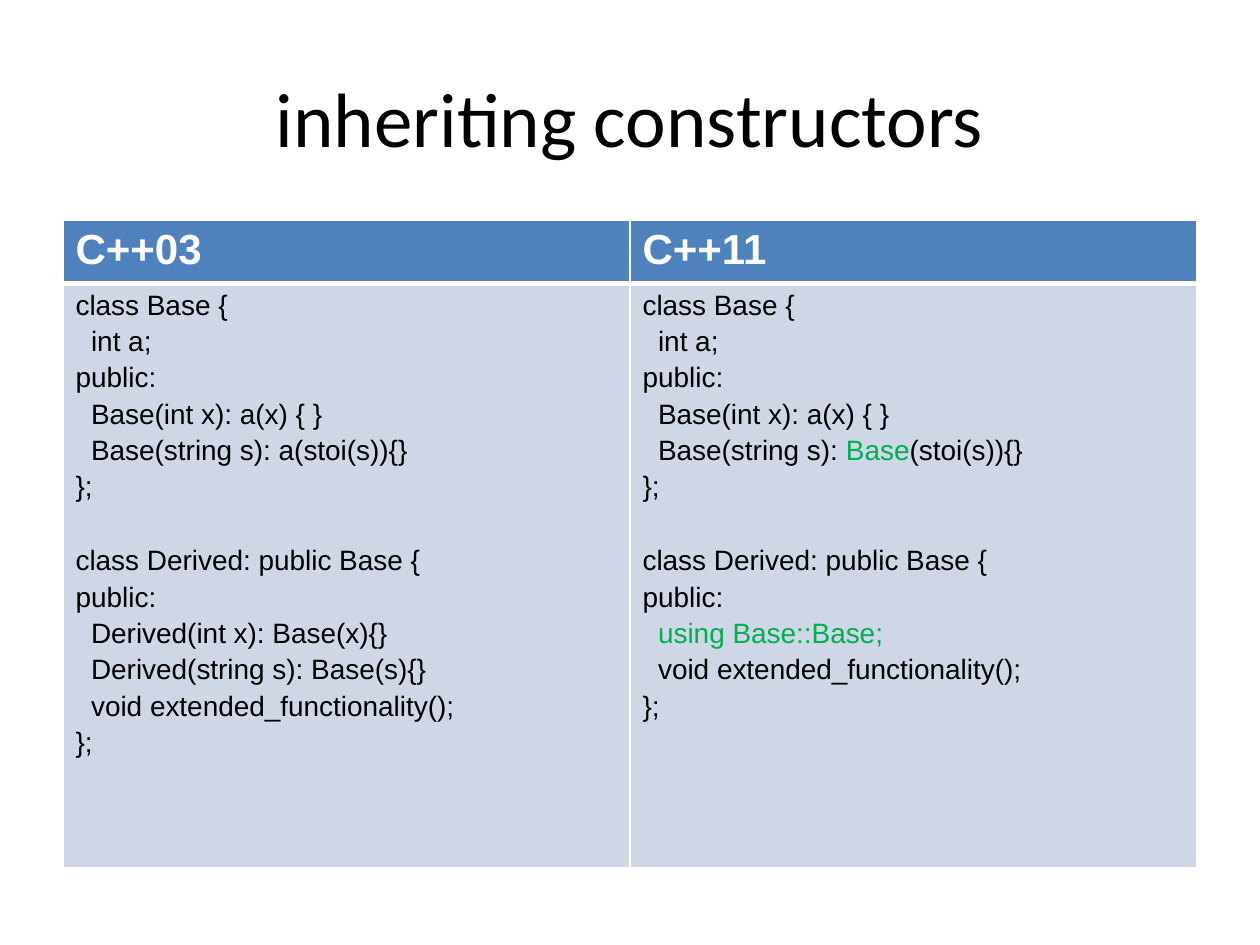
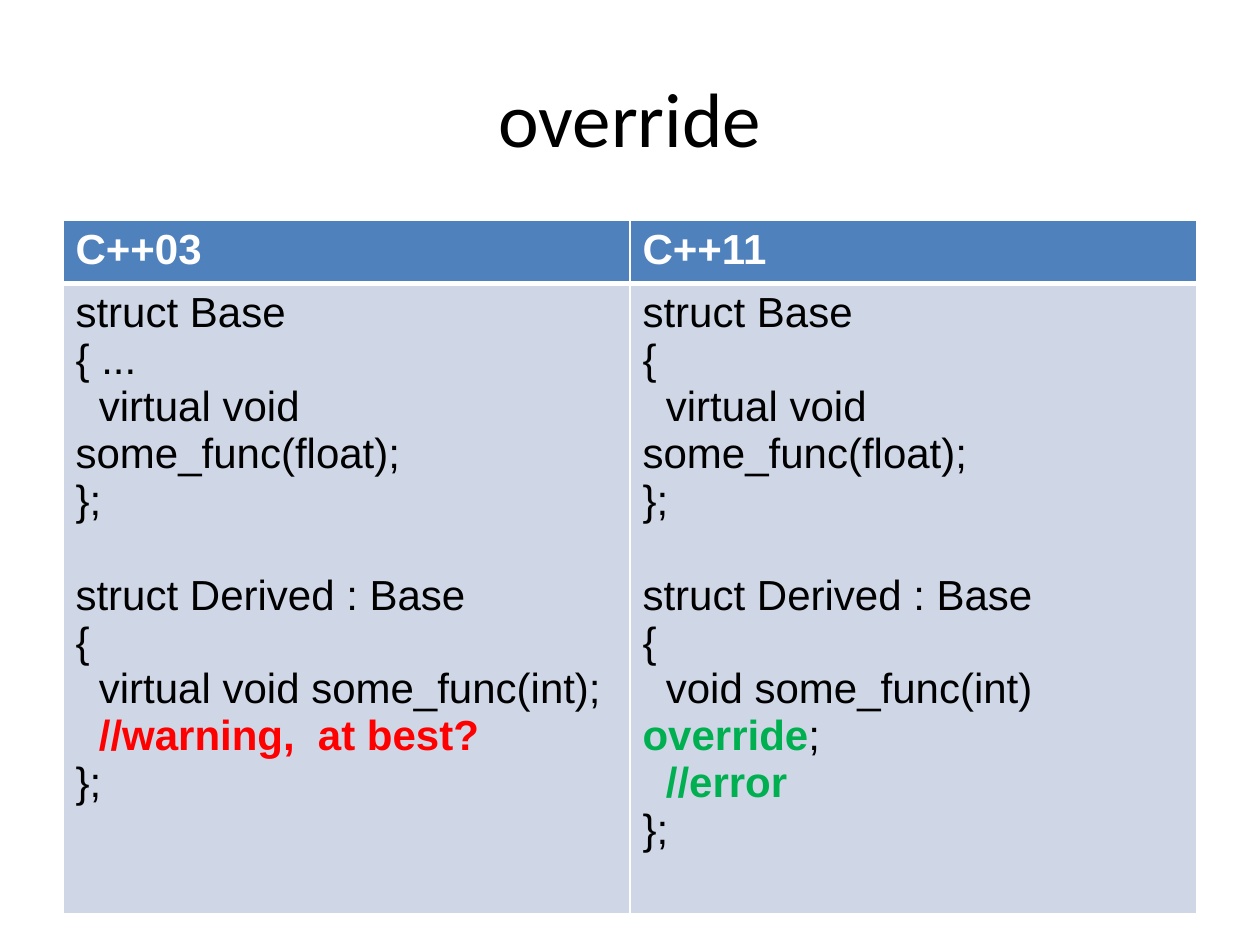
"""Build two slides that compare C++03 code with C++11 code."""
import dataclasses

import lxml.etree
import pptx
import pptx.dml.color
import pptx.enum.text
import pptx.oxml.ns
import pptx.util

PX = 9144
SLIDE = (1000, 750)
TITLE_BOX = (50, 30, 900, 125)
TABLE_LEFT, TABLE_TOP, COLUMN_WIDTH = 50, 175, 450
ARIAL_LINE = 1.15


@dataclasses.dataclass(frozen=True)
class Theme:
    """Hold the colours, fonts and type sizes."""
    header_fill: str = "4F81BD"
    body_fill: str = "CFD7E7"
    white: str = "FFFFFF"
    black: str = "000000"
    green: str = "00B050"
    red: str = "FF0000"
    title_font: str = "Calibri"
    code_font: str = "Arial"
    title_size: int = 44
    header_size: int = 24
    thin: int = 1
    thick: int = 3


THEME = Theme()
TITLE = {"name": THEME.title_font, "size": THEME.title_size, "color": THEME.black}
HEADER = {"name": THEME.code_font, "size": THEME.header_size, "color": THEME.white, "bold": True}
CODE = {"name": THEME.code_font, "color": THEME.black, "bold": False}
NEW = {"color": THEME.green}
GOOD = {"color": THEME.green, "bold": True}
BAD = {"color": THEME.red, "bold": True}

HEADINGS = ("C++03", "C++11")
SLIDES = [
    {
        "title": "inheriting constructors",
        "rows": (50, 464), "size": 16, "gap": 3,
        "code": (
            [
                ["class Base {",
                 "  int a;",
                 "public:",
                 "  Base(int x): a(x) { }",
                 "  Base(string s): a(stoi(s)){}",
                 "};"],
                ["class Derived: public Base {",
                 "public:",
                 "  Derived(int x): Base(x){}",
                 "  Derived(string s): Base(s){}",
                 "  void extended_functionality();",
                 "};"],
            ],
            [
                ["class Base {",
                 "  int a;",
                 "public:",
                 "  Base(int x): a(x) { }",
                 ["  Base(string s): ", ("Base", NEW), "(stoi(s)){}"],
                 "};"],
                ["class Derived: public Base {",
                 "public:",
                 [("  using Base::Base;", NEW)],
                 "  void extended_functionality();",
                 "};"],
            ],
        ),
    },
    {
        "title": "override",
        "rows": (42, 500), "size": 24, "gap": 0,
        "code": (
            [
                ["struct Base",
                 "{ ...",
                 "  virtual void some_func(float);",
                 "};"],
                ["struct Derived : Base",
                 "{",
                 "  virtual void some_func(int);",
                 ["  ", ("//warning,  at best?", BAD)],
                 "};"],
            ],
            [
                ["struct Base",
                 "{",
                 "  virtual void some_func(float);",
                 "};"],
                ["struct Derived : Base",
                 "{",
                 ["  void some_func(int) ", ("override", GOOD), ";"],
                 [("  //error", GOOD)],
                 "};"],
            ],
        ),
    },
]


def px(*lengths):
    """Turn px into EMU."""
    return [pptx.util.Emu(n * PX) for n in lengths]


def rgb(value):
    """Turn a hex string into a colour."""
    return pptx.dml.color.RGBColor.from_string(value)


def add_run(p, text, style):
    """Add a run with the given format values."""
    r = p.add_run()
    r.text = text
    for key, value in style.items():
        if key == "color":
            r.font.color.rgb = rgb(value)
        else:
            setattr(r.font, key, pptx.util.Pt(value) if key == "size" else value)


def add_title(s, text):
    """Add the centred slide title."""
    tf = s.shapes.add_textbox(*px(*TITLE_BOX)).text_frame
    tf.word_wrap = True
    tf.vertical_anchor = pptx.enum.text.MSO_ANCHOR.MIDDLE
    p = tf.paragraphs[0]
    p.alignment = pptx.enum.text.PP_ALIGN.CENTER
    add_run(p, text, TITLE)


def style_cell(cell, fill, top, bottom):
    """Set the white borders, then the fill, of a cell."""
    tc_pr = cell._tc.get_or_add_tcPr()
    widths = {"lnL": THEME.thin, "lnR": THEME.thin, "lnT": top, "lnB": bottom}
    for tag, width in widths.items():
        ln = lxml.etree.SubElement(tc_pr, pptx.oxml.ns.qn(f"a:{tag}"), w=str(pptx.util.Pt(width)))
        solid = lxml.etree.SubElement(ln, pptx.oxml.ns.qn("a:solidFill"))
        lxml.etree.SubElement(solid, pptx.oxml.ns.qn("a:srgbClr"), val=THEME.white)
    cell.fill.solid()
    cell.fill.fore_color.rgb = rgb(fill)
    cell.margin_left, cell.margin_top, cell.margin_right, cell.margin_bottom = px(10, 5, 10, 5)


def write_code(tf, blocks, size, gap):
    """Write code blocks, set apart by the height of one line."""
    style = {**CODE, "size": size}
    block_gap = 2 * gap + ARIAL_LINE * size
    for b, block in enumerate(blocks):
        for n, line in enumerate(block):
            first = b == n == 0
            p = tf.paragraphs[0] if first else tf.add_paragraph()
            if not first:
                p.space_before = pptx.util.Pt(gap if n else block_gap)
            for part in [line] if isinstance(line, str) else line:
                text, extra = (part, {}) if isinstance(part, str) else part
                add_run(p, text, {**style, **extra})


def add_comparison(s, rows, code, size, gap):
    """Add the table with one column per language version."""
    columns = len(HEADINGS)
    box = px(TABLE_LEFT, TABLE_TOP, columns * COLUMN_WIDTH, sum(rows))
    table = s.shapes.add_table(len(rows), columns, *box).table
    table.first_row = table.horz_banding = False
    for row, height in zip(table.rows, px(*rows)):
        row.height = height
    for c, (heading, blocks) in enumerate(zip(HEADINGS, code)):
        table.columns[c].width = px(COLUMN_WIDTH)[0]
        head, body = table.cell(0, c), table.cell(1, c)
        style_cell(head, THEME.header_fill, THEME.thin, THEME.thick)
        style_cell(body, THEME.body_fill, THEME.thick, THEME.thin)
        add_run(head.text_frame.paragraphs[0], heading, HEADER)
        write_code(body.text_frame, blocks, size, gap)


def main():
    """Build and save the slides."""
    prs = pptx.Presentation()
    prs.slide_width, prs.slide_height = px(*SLIDE)
    for content in SLIDES:
        s = prs.slides.add_slide(prs.slide_layouts[6])
        add_title(s, content["title"])
        add_comparison(s, content["rows"], content["code"], content["size"], content["gap"])
    prs.save("out.pptx")


if __name__ == "__main__":
    main()
